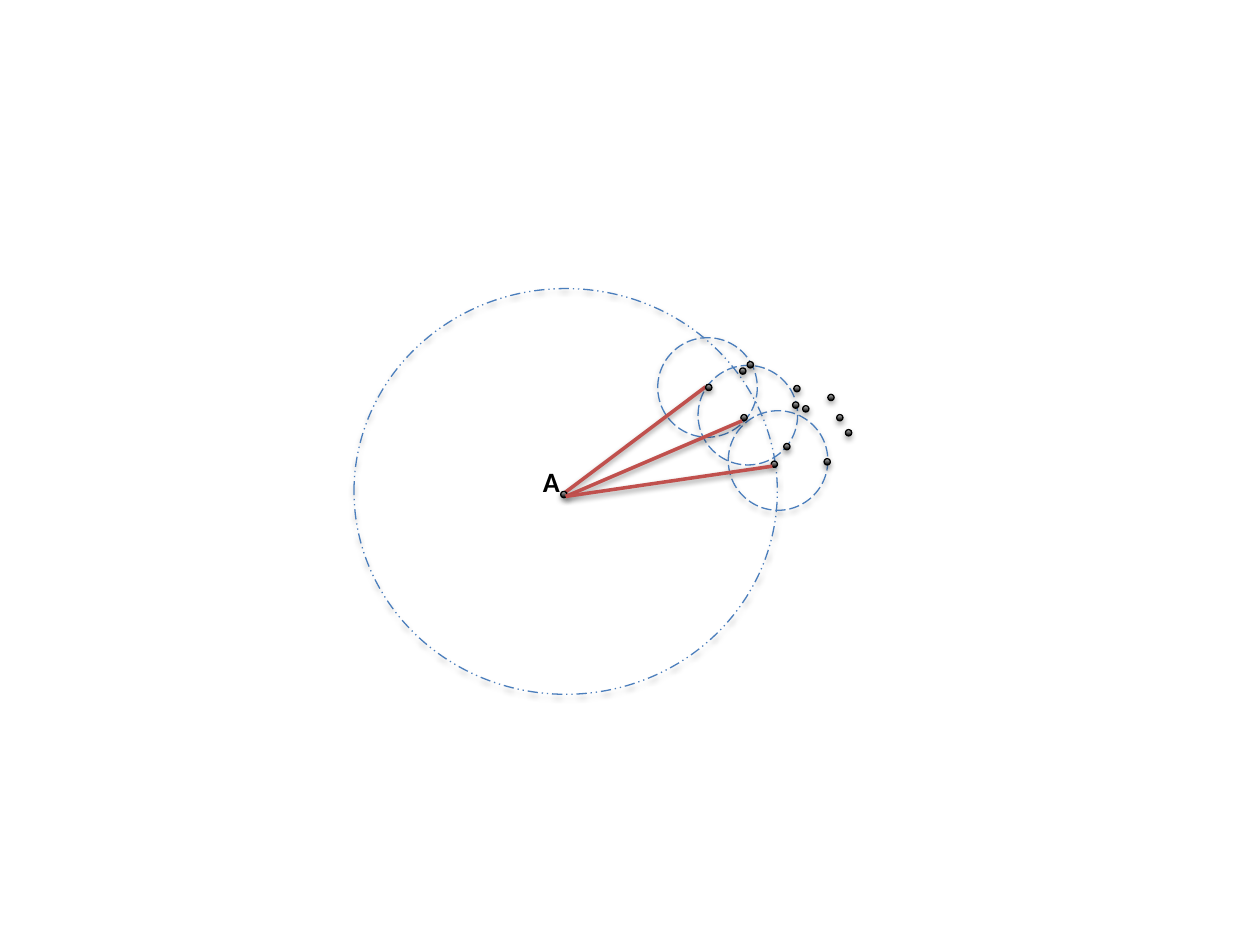
from lxml import etree
from pptx import Presentation
from pptx import util as u
from pptx.dml.color import RGBColor
from pptx.enum import dml, shapes, text
from pptx.oxml import parse_xml
from pptx.oxml.ns import nsdecls


def color(hex_string):
    return RGBColor.from_string(hex_string)


def write(frame, content, font="Calibri", size=16, bold=False, ink="000000"):
    run = frame.paragraphs[0].add_run()
    run.text = content
    run.font.name = font
    run.font.size = u.Pt(size)
    run.font.bold = bold
    run.font.color.rgb = color(ink)


class Diagram:
    BLUE, RED, BLACK, GRAY = "4B7EBC", "C0504D", "000000", "BDBDBD"
    DOT = 0.05

    def __init__(self, slide):
        self.shapes = slide.shapes.add_group_shape().shapes

    def shade(self, shape, opacity, distance):
        shape._element.spPr.append(parse_xml(
            f'<a:effectLst {nsdecls("a")}><a:outerShdw blurRad="40000" '
            f'dist="{distance}" dir="5400000" rotWithShape="0">'
            f'<a:srgbClr val="{self.BLACK}"><a:alpha val="{opacity * 1000}"/>'
            '</a:srgbClr></a:outerShdw></a:effectLst>'))

    def ellipse(self, left, top, width, height, line):
        shape = self.shapes.add_shape(
            shapes.MSO_SHAPE.OVAL, *map(u.Inches, (left, top, width, height)))
        shape.line.color.rgb = color(line)
        shape.line.width = u.Pt(0.75)
        self.shade(shape, 35, 23000)
        return shape

    def circle(self, left, top, width, height, dash):
        shape = self.ellipse(left, top, width, height, self.BLUE)
        shape.fill.background()
        shape.line.dash_style = dash

    def dot(self, left, top):
        shape = self.ellipse(left, top, self.DOT, self.DOT, self.BLACK)
        shape.fill.gradient()
        shape.fill.gradient_angle = 90
        for stop, shade, position in zip(
                shape.fill.gradient_stops, (self.BLACK, self.GRAY), (0, 1)):
            stop.color.rgb = color(shade)
            stop.position = position

    def ray(self, start, end):
        line = self.shapes.add_connector(
            shapes.MSO_CONNECTOR.STRAIGHT, *map(u.Inches, start + end))
        line.line.color.rgb = color(self.RED)
        line.line.width = u.Pt(2)
        self.shade(line, 38, 20000)

    def label(self, left, top, width, height, content):
        box = self.shapes.add_textbox(*map(u.Inches, (left, top, width, height)))
        box.text_frame.word_wrap = True
        box.text_frame.auto_size = text.MSO_AUTO_SIZE.SHAPE_TO_FIT_TEXT
        write(box.text_frame, content, bold=True)


presentation = Presentation()
presentation.slide_width = u.Inches(10)
presentation.slide_height = u.Inches(7.5)
slide = presentation.slides.add_slide(presentation.slide_layouts[6])
diagram = Diagram(slide)

# Range around A and the smaller neighbourhoods
diagram.circle(2.81, 2.29, 3.36, 3.22, dml.MSO_LINE.DASH_DOT_DOT)
for left, top in [(5.22, 2.68), (5.54, 2.9), (5.78, 3.26)]:
    diagram.circle(left, top, 0.79, 0.79, dml.MSO_LINE.LONG_DASH)

# Rays from A, with A and the neighbours they reach
diagram.ray((4.47, 3.92), (5.6, 3.07))
for position in [(5.6, 3.05), (5.88, 3.29), (6.12, 3.66), (4.45, 3.9)]:
    diagram.dot(*position)
for neighbour in [(5.89, 3.34), (6.13, 3.7)]:
    diagram.ray((4.49, 3.94), neighbour)

# Remaining points
for position in [(5.87, 2.92), (5.93, 2.87), (6.29, 3.19), (6.22, 3.52),
                 (6.54, 3.64), (6.71, 3.41), (6.64, 3.29), (6.57, 3.13),
                 (6.37, 3.22), (6.3, 3.06)]:
    diagram.dot(*position)

# Name of the centre
diagram.label(4.21, 3.64, 0.58, 0.37, "A")

presentation.save("out.pptx")
